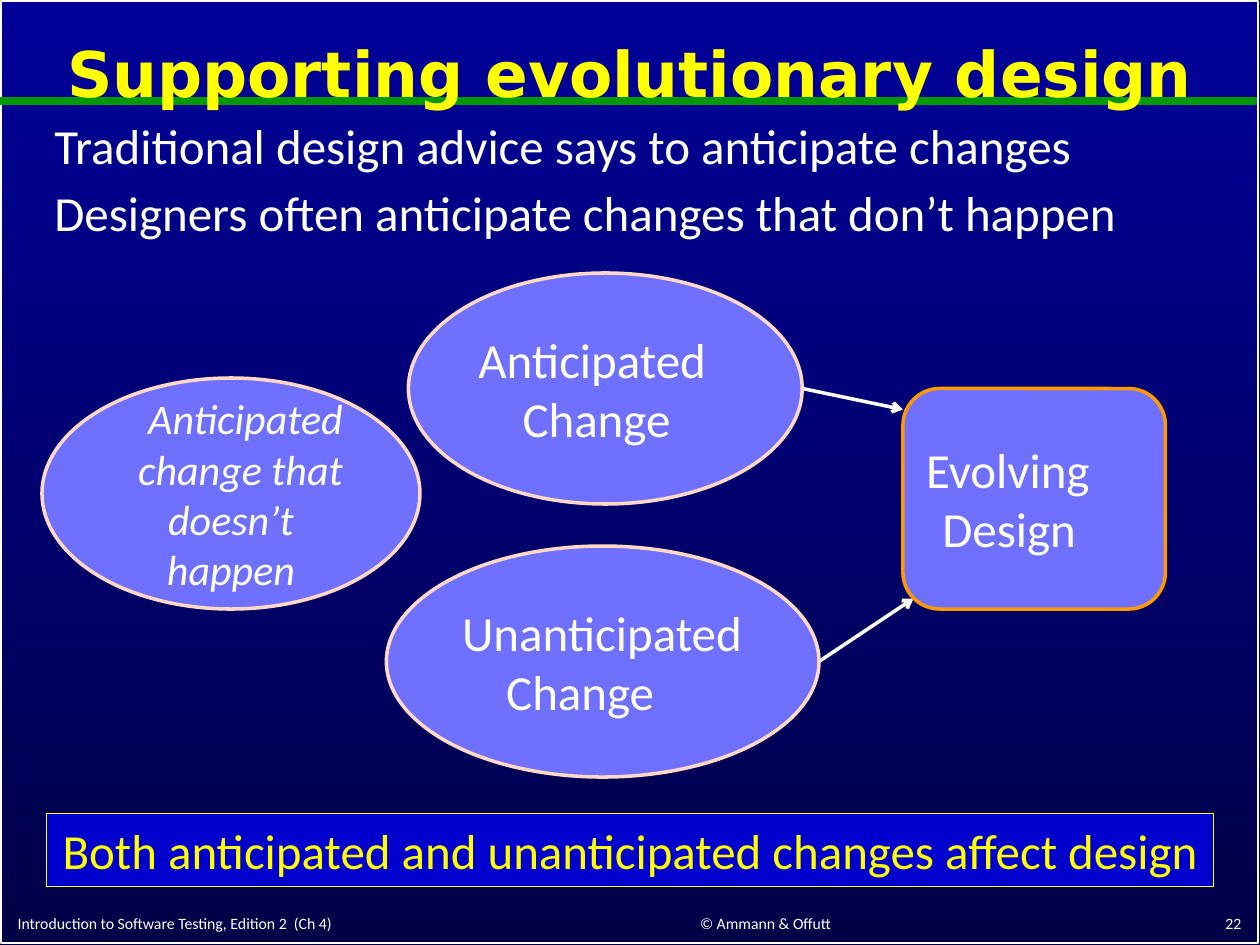
"""Build the slide on supporting evolutionary design."""
from lxml.etree import SubElement
from pptx import Presentation
from pptx.dml.color import RGBColor
from pptx.enum.shapes import MSO_CONNECTOR, MSO_SHAPE
from pptx.enum.text import MSO_ANCHOR, PP_ALIGN
from pptx.oxml.ns import qn
from pptx.util import Inches, Pt

COLORS = {
    "sky": "000099", "depth": "000047", "white": "FFFFFF", "rule": "009900",
    "yellow": "FFFF00", "banner": "0000CC", "node": "7070FF",
    "orange": "FF9900", "peach": "FFD9C5",
}
COLORS = {name: RGBColor.from_string(value) for name, value in COLORS.items()}

deck = Presentation()
deck.slide_width, deck.slide_height = Inches(10), Inches(7.5)
COL, ROW = deck.slide_width / 120, deck.slide_height / 90
slide = deck.slides.add_slide(deck.slide_layouts[5])


def grid(columns, rows, *size):
    spans = (columns, rows, *size)
    return [round(span * (ROW if i % 2 else COL)) for i, span in enumerate(spans)]


def write(frame, lines, size, color="white", font="Calibri", align=PP_ALIGN.LEFT,
          anchor=MSO_ANCHOR.MIDDLE, wrap=True, bold=False, italic=False):
    frame.word_wrap = wrap
    frame.vertical_anchor = anchor
    for i, (text, indent) in enumerate(lines):
        paragraph = frame.paragraphs[0] if i == 0 else frame.add_paragraph()
        paragraph.alignment = align
        if indent:
            paragraph._p.get_or_add_pPr().set("marL", str(Inches(indent)))
        run = paragraph.add_run()
        run.text = text
        run.font.name, run.font.size = font, Pt(size)
        run.font.bold, run.font.italic = bold, italic
        run.font.color.rgb = COLORS[color]


sky = slide.background.fill
sky.gradient()
sky.gradient_angle = 270
for stop, shade, position in zip(sky.gradient_stops, ("sky", "depth"), (0, 1)):
    stop.color.rgb = COLORS[shade]
    stop.position = position

border = slide.shapes.add_shape(MSO_SHAPE.RECTANGLE, *grid(0.1, 0.1, 119.7, 89.7))
border.shadow.inherit = False
border.fill.background()
border.line.color.rgb = COLORS["white"]
border.line.width = Pt(1)

links = [
    ((0, 9.6), (119.7, 9.6), "rule", 4.5, False),
    ((76.4, 37), (86, 39), "white", 2, True),
    ((78, 63), (87, 57), "white", 2, True),
]
for start, end, color, weight, arrow in links:
    link = slide.shapes.add_connector(MSO_CONNECTOR.STRAIGHT, *grid(*start), *grid(*end))
    link.line.color.rgb = COLORS[color]
    link.line.width = Pt(weight)
    if arrow:
        SubElement(link.line._get_or_add_ln(), qn("a:tailEnd"), type="arrow")
    SubElement(link._element.spPr, qn("a:effectLst"))

title = slide.shapes.title
title.left, title.top, title.width, title.height = grid(0.6, 1.3, 118.8, 12)
write(title.text_frame, [("Supporting evolutionary design", 0)], 36, "yellow",
      "DejaVu Sans", PP_ALIGN.CENTER, bold=True)
title.text_frame.paragraphs[0].line_spacing = 0.9
slide.shapes._spTree.append(title._element)

footers = [
    ("Introduction to Software Testing, Edition 2  (Ch 4)", 0.5, 50.4, PP_ALIGN.LEFT),
    ("© Ammann & Offutt", 53.9, 38, PP_ALIGN.CENTER),
    ("22", 94.4, 25, PP_ALIGN.RIGHT),
]
for text, column, width, align in footers:
    footer = slide.shapes.add_textbox(*grid(column, 86.1, width, 3.3))
    write(footer.text_frame, [(text, 0)], 9, align=align, anchor=MSO_ANCHOR.BOTTOM)

advice = slide.shapes.add_textbox(*grid(4, 11, 113, 18.8))
write(advice.text_frame, [
    ("Traditional design advice says to anticipate changes", 0),
    ("Designers often anticipate changes that don’t happen", 0),
], 28, anchor=MSO_ANCHOR.TOP)
for paragraph in advice.text_frame.paragraphs:
    paragraph.line_spacing = 0.9
    paragraph.space_before = Pt(8.4)

conclusion = ["Both anticipated and unanticipated changes affect design"]
unmet = [("Anticipated", 0.23), ("change that", 0.15), ("doesn’t happen", 0)]
nodes = [
    (MSO_SHAPE.RECTANGLE, (4.4, 77.5, 111.2, 6.9), "banner", "yellow", 0.75,
     [(text, 0) for text in conclusion],
     dict(size=28, color="yellow", align=PP_ALIGN.CENTER, wrap=False)),
    (MSO_SHAPE.ROUNDED_RECTANGLE, (86, 37, 25, 21), "node", "orange", 2,
     [("Evolving", 0), ("Design", 0.13)], dict(size=28, wrap=False)),
    (MSO_SHAPE.OVAL, (36.8, 52, 41.2, 22), "node", "peach", 2,
     [("Unanticipated", 0), ("Change", 0.35)], dict(size=28, wrap=False)),
    (MSO_SHAPE.OVAL, (38.9, 26, 37.5, 22), "node", "peach", 2,
     [("Anticipated", 0), ("Change", 0.35)], dict(size=28, wrap=False)),
    (MSO_SHAPE.OVAL, (4, 36, 36, 22), "node", "peach", 2,
     unmet, dict(size=24, align=PP_ALIGN.CENTER, italic=True)),
]
for outline, place, fill, edge, weight, lines, style in nodes:
    node = slide.shapes.add_shape(outline, *grid(*place))
    node.shadow.inherit = False
    node.fill.solid()
    node.fill.fore_color.rgb = COLORS[fill]
    node.line.color.rgb = COLORS[edge]
    node.line.width = Pt(weight)
    write(node.text_frame, lines, **style)

deck.save("out.pptx")
